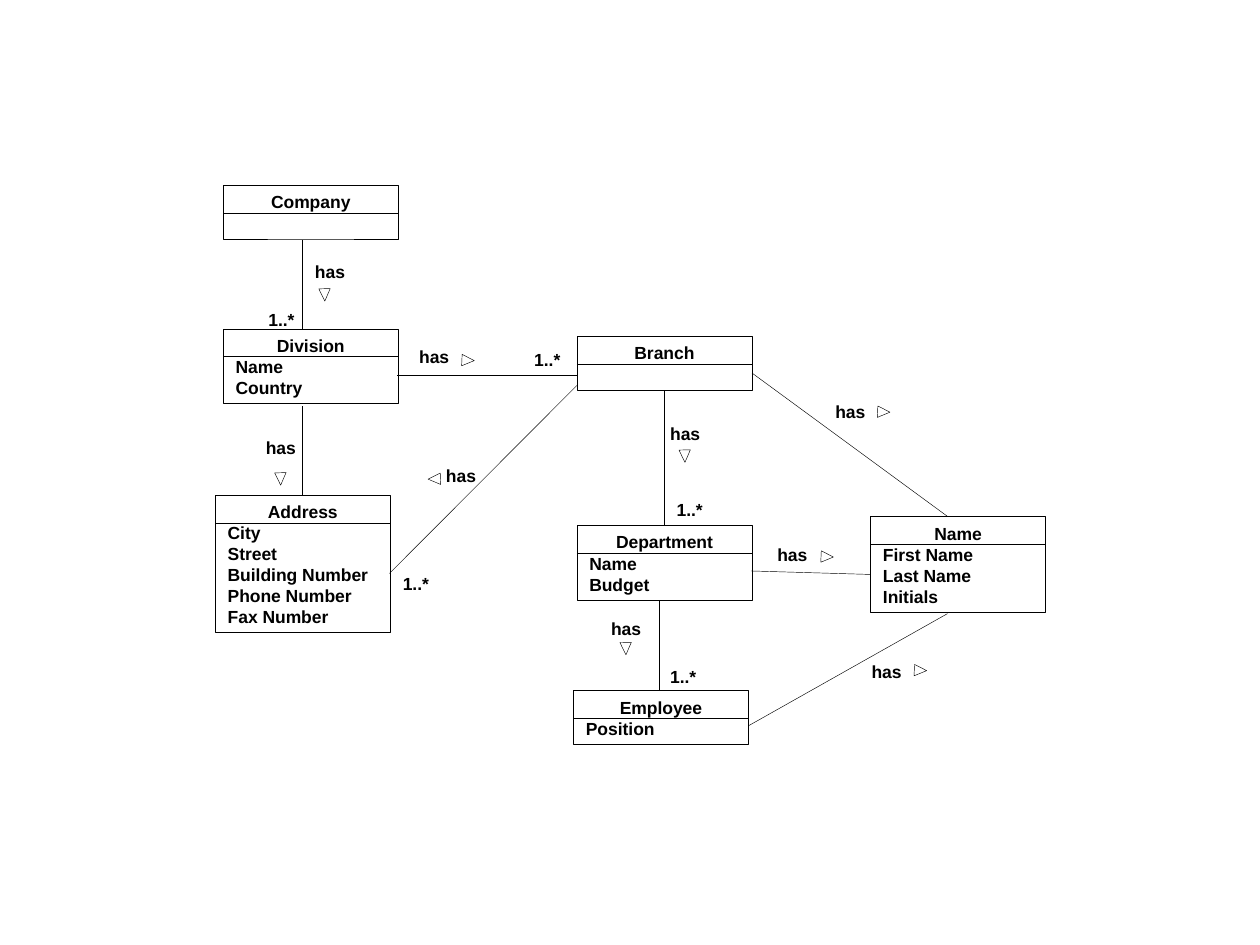
"""Build a class diagram of an organisation with its named associations."""
from lxml import etree
from pptx import Presentation
from pptx import util as u
from pptx.dml.color import RGBColor
from pptx.enum import shapes, text
from pptx.oxml.ns import qn

BLACK = RGBColor(0x00, 0x00, 0x00)
WHITE = RGBColor(0xFF, 0xFF, 0xFF)

DOWN, RIGHT, LEFT = 178.5, 92.4, 268.1
LABEL_HEIGHT, TALL_LABEL = 0.66, 1.09

CLASSES = [
    (4.5, 6.63, "Division", ["Name", "Country"]),
    (4.34, 9.98, "Address",
     ["City", "Street", "Building Number", "Phone Number", "Fax Number"]),
    (4.5, 3.73, "Company", []),
    (11.63, 6.78, "Branch", []),
    (17.55, 10.41, "Name", ["First Name", "Last Name", "Initials"]),
    (11.63, 10.59, "Department", ["Name", "Budget"]),
    (11.56, 13.92, "Employee", ["Position"]),
]
ASSOCIATIONS = [
    (6.1, 6.63, 6.1, 4.83),
    (6.1, 9.98, 6.1, 8.18),
    (11.63, 7.57, 8, 7.57),
    (13.39, 10.59, 13.39, 7.87),
    (17.55, 11.58, 15.14, 11.51),
    (19.1, 10.41, 15.16, 7.52),
    (13.28, 13.92, 13.28, 12.12),
    (11.63, 7.77, 7.85, 11.56),
    (19.1, 12.37, 15.09, 14.63),
]
VERBS = [
    (6.1, 5.13, LABEL_HEIGHT, 6.43, 5.82, DOWN),
    (8.2, 6.86, LABEL_HEIGHT, 9.32, 7.14, RIGHT),
    (13.26, 8.41, TALL_LABEL, 13.69, 9.07, DOWN),
    (17.32, 13.21, TALL_LABEL, 18.44, 13.39, RIGHT),
    (15.42, 10.85, TALL_LABEL, 16.56, 11.1, RIGHT),
    (8.74, 9.25, LABEL_HEIGHT, 8.64, 9.53, LEFT),
    (5.11, 8.69, LABEL_HEIGHT, 5.54, 9.53, DOWN),
    (16.59, 7.95, TALL_LABEL, 17.7, 8.18, RIGHT),
    (12.07, 12.34, TALL_LABEL, 12.5, 12.95, DOWN),
]
MULTIPLICITIES = [(5.16, 6.1), (10.52, 6.91), (13.39, 9.93), (13.26, 13.31), (7.87, 11.43)]


def write(paragraph, words, *, font, size, color, bold=True, align=text.PP_ALIGN.LEFT):
    paragraph.alignment = align
    run = paragraph.add_run()
    run.text = words
    run.font.name = font
    run.font.size = u.Pt(size)
    run.font.bold = bold
    run.font.color.rgb = color


class Diagram:
    def __init__(self, slide):
        self.slide = slide
        self.type_style = {"font": "Arial", "size": 10, "color": BLACK}
        self.line_width = u.Pt(0.25)
        self.class_width = 3.53
        self.row_height = 0.42
        self.header_height = 0.56

    def outline(self, line):
        line.color.rgb = BLACK
        line.width = self.line_width

    def preset(self, kind, left, top, width, height):
        figure = self.slide.shapes.add_shape(
            kind, u.Cm(left), u.Cm(top), u.Cm(width), u.Cm(height))
        figure.shadow.inherit = False
        self.outline(figure.line)
        return figure

    def line(self, x1, y1, x2, y2):
        link = self.slide.shapes.add_connector(
            shapes.MSO_CONNECTOR.STRAIGHT, u.Cm(x1), u.Cm(y1), u.Cm(x2), u.Cm(y2))
        self.outline(link.line)
        etree.SubElement(link._element.spPr, qn("a:effectLst"))

    def class_box(self, left, top, name, attributes):
        rows = max(2, 1 + len(attributes))
        box = self.preset(shapes.MSO_SHAPE.RECTANGLE, left, top,
                          self.class_width, 0.25 + self.row_height * rows)
        box.fill.background()
        frame = box.text_frame
        frame.vertical_anchor = text.MSO_ANCHOR.TOP
        write(frame.paragraphs[0], name, align=text.PP_ALIGN.CENTER, **self.type_style)
        for attribute in attributes:
            write(frame.add_paragraph(), attribute, **self.type_style)
        divider = top + self.header_height
        self.line(left, divider, left + self.class_width, divider)

    def label(self, words, left, top, height=LABEL_HEIGHT, wrap=True):
        box = self.slide.shapes.add_textbox(
            u.Cm(left), u.Cm(top), u.Cm(1.12), u.Cm(height))
        box.text_frame.word_wrap = wrap
        write(box.text_frame.paragraphs[0], words, **self.type_style)

    def direction(self, left, top, rotation):
        marker = self.preset(shapes.MSO_SHAPE.ISOSCELES_TRIANGLE, left, top, 0.23, 0.25)
        marker.rotation = rotation
        marker.fill.solid()
        marker.fill.fore_color.rgb = WHITE


def main():
    deck = Presentation()
    deck.slide_width, deck.slide_height = u.Cm(25.4), u.Cm(19.05)
    diagram = Diagram(deck.slides.add_slide(deck.slide_layouts[6]))
    for entity in CLASSES:
        diagram.class_box(*entity)
    for ends in ASSOCIATIONS:
        diagram.line(*ends)
    for left, top, height, *marker in VERBS:
        diagram.label("has", left, top, height, wrap=False)
        diagram.direction(*marker)
    for place in MULTIPLICITIES:
        diagram.label("1..*", *place)
    deck.save("out.pptx")


if __name__ == "__main__":
    main()
